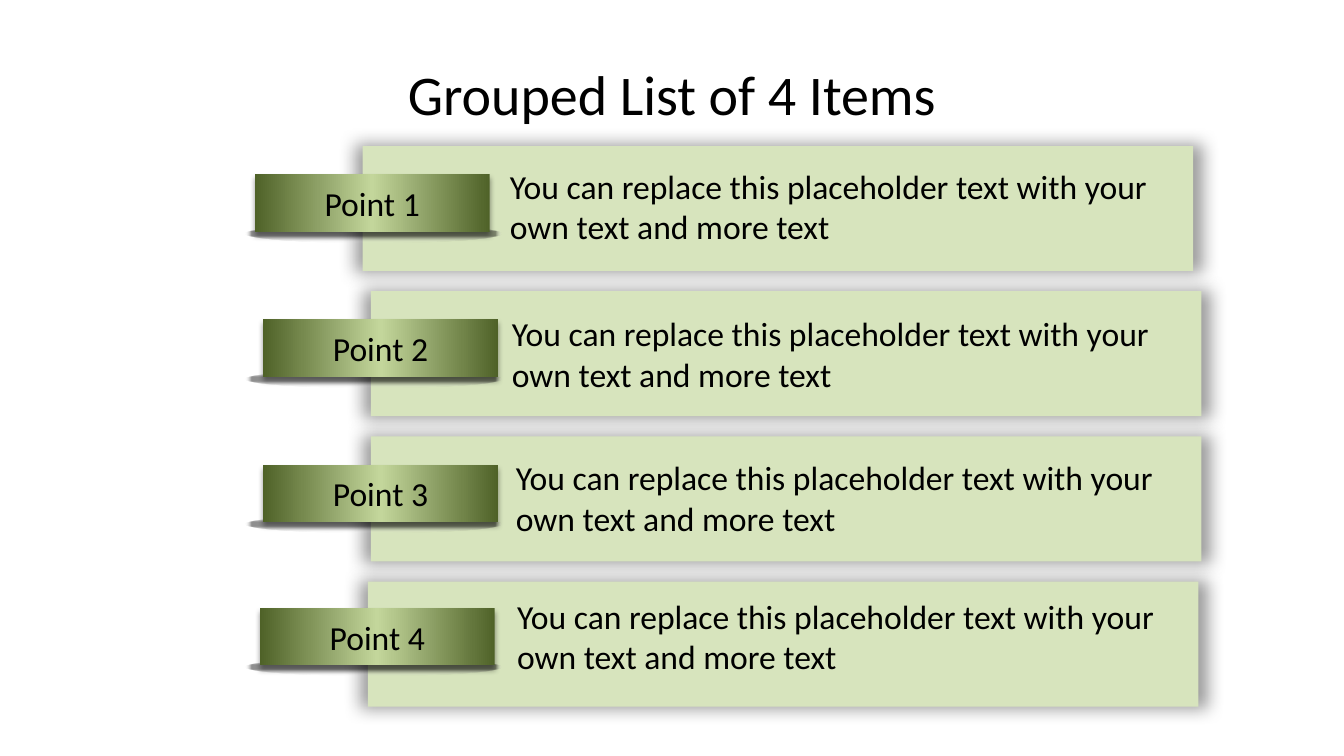
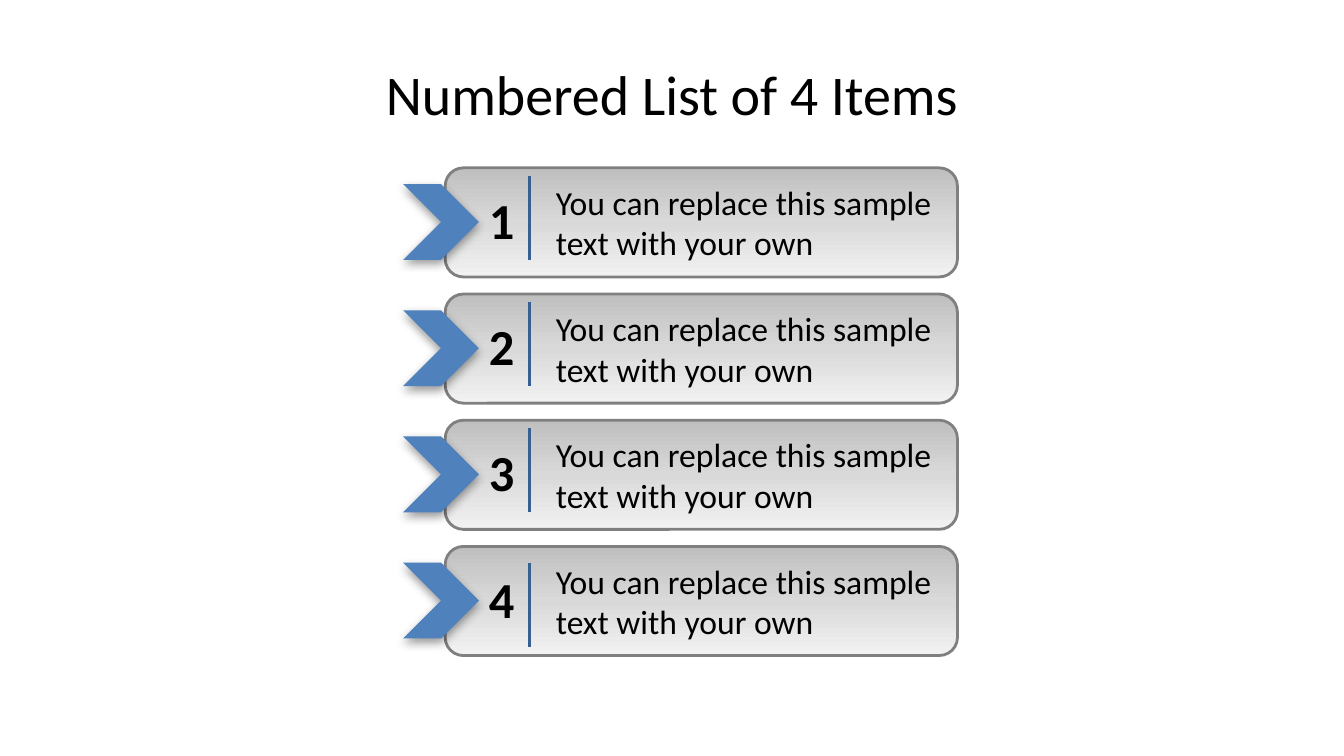
from lxml import etree
from pptx import Presentation
from pptx.dml.color import RGBColor
from pptx.enum.shapes import MSO_CONNECTOR, MSO_SHAPE
from pptx.enum.text import MSO_ANCHOR, MSO_AUTO_SIZE, PP_ALIGN
from pptx.oxml import parse_xml
from pptx.oxml.ns import nsdecls, qn
from pptx.util import Cm, Pt

RECTANGLE = MSO_SHAPE.RECTANGLE
ROUNDED = MSO_SHAPE.ROUNDED_RECTANGLE
ELLIPSE = MSO_SHAPE.OVAL
CHEVRON = MSO_SHAPE.CHEVRON
STRAIGHT = MSO_CONNECTOR.STRAIGHT
LEFT, CENTER = PP_ALIGN.LEFT, PP_ALIGN.CENTER
TOP, MIDDLE = MSO_ANCHOR.TOP, MSO_ANCHOR.MIDDLE
GROW = MSO_AUTO_SIZE.SHAPE_TO_FIT_TEXT

COLORS = {
    "black": "000000",
    "white": "FFFFFF",
    "pale green": "D7E4BD",
    "mid green": "C3D69B",
    "dark green": "4F6228",
    "light gray": "F2F2F2",
    "mid gray": "D9D9D9",
    "dark gray": "BFBFBF",
    "border": "808080",
    "blue": "4F81BD",
    "dark blue": "376092",
}

# Gradient stops: position %, colour name, opacity %
LABEL_STOPS = [(0, "dark green", 100), (50, "mid green", 100), (100, "dark green", 100)]
PANEL_STOPS = [(0, "dark gray", 100), (50, "mid gray", 100), (100, "light gray", 100)]
GLOW_STOPS = [(24, "black", 44), (100, "white", 0)]

# Per item: panel left, label drop, text left, text drop
GROUPED_ROWS = [
    (9.14, 0.71, 12.6, 0.38),
    (9.35, 0.71, 12.65, 0.43),
    (9.35, 0.71, 12.75, 0.4),
    (9.27, 0.66, 12.78, 0.22),
]
RULE_DROPS = [0.2, 0.2, 0.2, 0.41]


class Deck:
    font = "Calibri"

    def __init__(self):
        self.file = Presentation()
        self.file.slide_width = Cm(33.87)
        self.file.slide_height = Cm(19.05)
        self.page = None

    def color(self, name):
        return RGBColor.from_string(COLORS[name])

    def add_page(self, title):
        self.page = self.file.slides.add_slide(self.file.slide_layouts[6])
        self.text(title, 1.69, 0.76, 30.48, 3.18, size=40, align=CENTER, anchor=MIDDLE)

    def add_words(self, frame, words, size, bold=False, align=LEFT):
        para = frame.paragraphs[0]
        para.alignment = align
        span = para.add_run()
        span.text = words
        span.font.name = self.font
        span.font.size = Pt(size)
        span.font.bold = bold
        span.font.color.rgb = self.color("black")

    def text(self, words, left, top, width, height, size=24, bold=False,
             align=LEFT, anchor=TOP, wrap=True):
        box = self.page.shapes.add_textbox(Cm(left), Cm(top), Cm(width), Cm(height))
        frame = box.text_frame
        frame.word_wrap = wrap
        frame.vertical_anchor = anchor
        if anchor == TOP:
            frame.auto_size = GROW
        self.add_words(frame, words, size, bold, align)

    def shape(self, kind, left, top, width, height, fill=None, border=None):
        shape = self.page.shapes.add_shape(kind, Cm(left), Cm(top), Cm(width), Cm(height))
        shape.shadow.inherit = False
        if fill:
            shape.fill.solid()
            shape.fill.fore_color.rgb = self.color(fill)
        if border:
            shape.line.color.rgb = self.color(border)
            shape.line.width = Pt(2)
        else:
            shape.line.fill.background()
        return shape

    def gradient(self, shape, stops, angle=None):
        """Fill with a linear gradient, or one from the centre if angle is None."""
        marks = "".join(
            f'<a:gs pos="{place * 1000}"><a:srgbClr val="{COLORS[name]}">'
            f'<a:alpha val="{opacity * 1000}"/></a:srgbClr></a:gs>'
            for place, name, opacity in stops)
        if angle is None:
            course = ('<a:path path="shape"><a:fillToRect l="50000" t="50000" '
                      'r="50000" b="50000"/></a:path>')
        else:
            course = f'<a:lin ang="{angle * 60000}" scaled="0"/>'
        shape.fill.background()
        properties = shape._element.spPr
        properties.replace(properties.find(qn("a:noFill")), parse_xml(
            f'<a:gradFill {nsdecls("a")} rotWithShape="1">'
            f'<a:gsLst>{marks}</a:gsLst>{course}</a:gradFill>'))

    def shadow(self, shape, blur, distance=0, scale_x=100, scale_y=100, origin="ctr"):
        effects = shape._element.spPr.find(qn("a:effectLst"))
        effects.append(parse_xml(
            f'<a:outerShdw {nsdecls("a")} blurRad="{Pt(blur)}" dist="{Pt(distance)}" '
            f'dir="5400000" sx="{scale_x * 1000}" sy="{scale_y * 1000}" algn="{origin}" '
            f'rotWithShape="0"><a:srgbClr val="{COLORS["black"]}">'
            '<a:alpha val="40000"/></a:srgbClr></a:outerShdw>'))

    def vertical_rule(self, left, top, height):
        rule = self.page.shapes.add_connector(
            STRAIGHT, Cm(left), Cm(top), Cm(left), Cm(top + height))
        rule.line.color.rgb = self.color("dark blue")
        rule.line.width = Pt(2.25)
        etree.SubElement(rule._element.spPr, qn("a:effectLst"))

    def grouped_item(self, number, top, panel_left, label_drop, text_left, text_drop):
        panel = self.shape(RECTANGLE, panel_left, top, 20.93, 3.15, fill="pale green")
        self.shadow(panel, 12, scale_x=102, scale_y=102)
        label_top = top + label_drop
        glow = self.shape(ELLIPSE, 6.2, label_top + 1.28, 6.45, 0.43)
        self.gradient(glow, GLOW_STOPS)
        label = self.shape(RECTANGLE, panel_left - 2.72, label_top, 5.92, 1.45)
        self.gradient(label, LABEL_STOPS, angle=0)
        self.shadow(label, 4, distance=3)
        label.text_frame.word_wrap = False
        label.text_frame.vertical_anchor = MIDDLE
        self.add_words(label.text_frame, f"Point {number}", 24, align=CENTER)
        self.text("You can replace this placeholder text with your own text and more text",
                  text_left, top + text_drop, 17.2, 2.31)

    def numbered_item(self, number, top, rule_drop):
        panel = self.shape(ROUNDED, 11.22, top, 12.91, 2.75, border="border")
        self.gradient(panel, PANEL_STOPS, angle=90)
        self.text(str(number), 12.07, top + 0.41, 1.17, 1.8, size=36, bold=True, wrap=False)
        self.vertical_rule(13.34, top + rule_drop, 2.12)
        self.text("You can replace this sample text with your own",
                  13.76, top + 0.23, 10.16, 2.31)
        chevron = self.shape(CHEVRON, 10.16, top + 0.41, 1.91, 1.91, fill="blue")
        self.shadow(chevron, 7, distance=3, scale_y=110, origin="t")


def main():
    deck = Deck()
    deck.add_page("Grouped List of 4 Items")
    for index, row in enumerate(GROUPED_ROWS):
        deck.grouped_item(index + 1, 3.68 + index * 3.66, *row)

    deck.add_page("Numbered List of 4 Items")
    for index, rule_drop in enumerate(RULE_DROPS):
        deck.numbered_item(index + 1, 4.23 + index * 3.18, rule_drop)

    deck.file.save("out.pptx")


if __name__ == "__main__":
    main()
